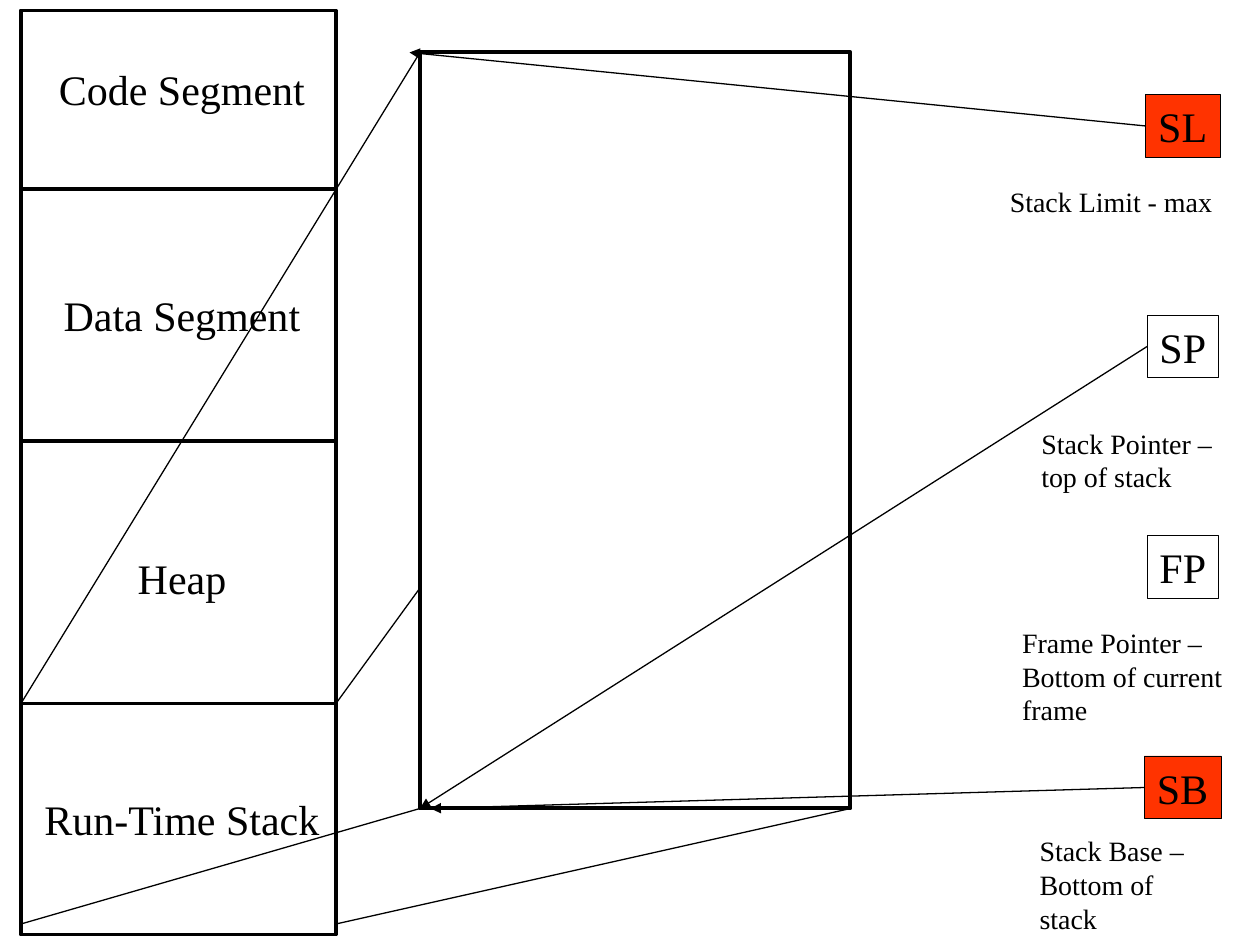
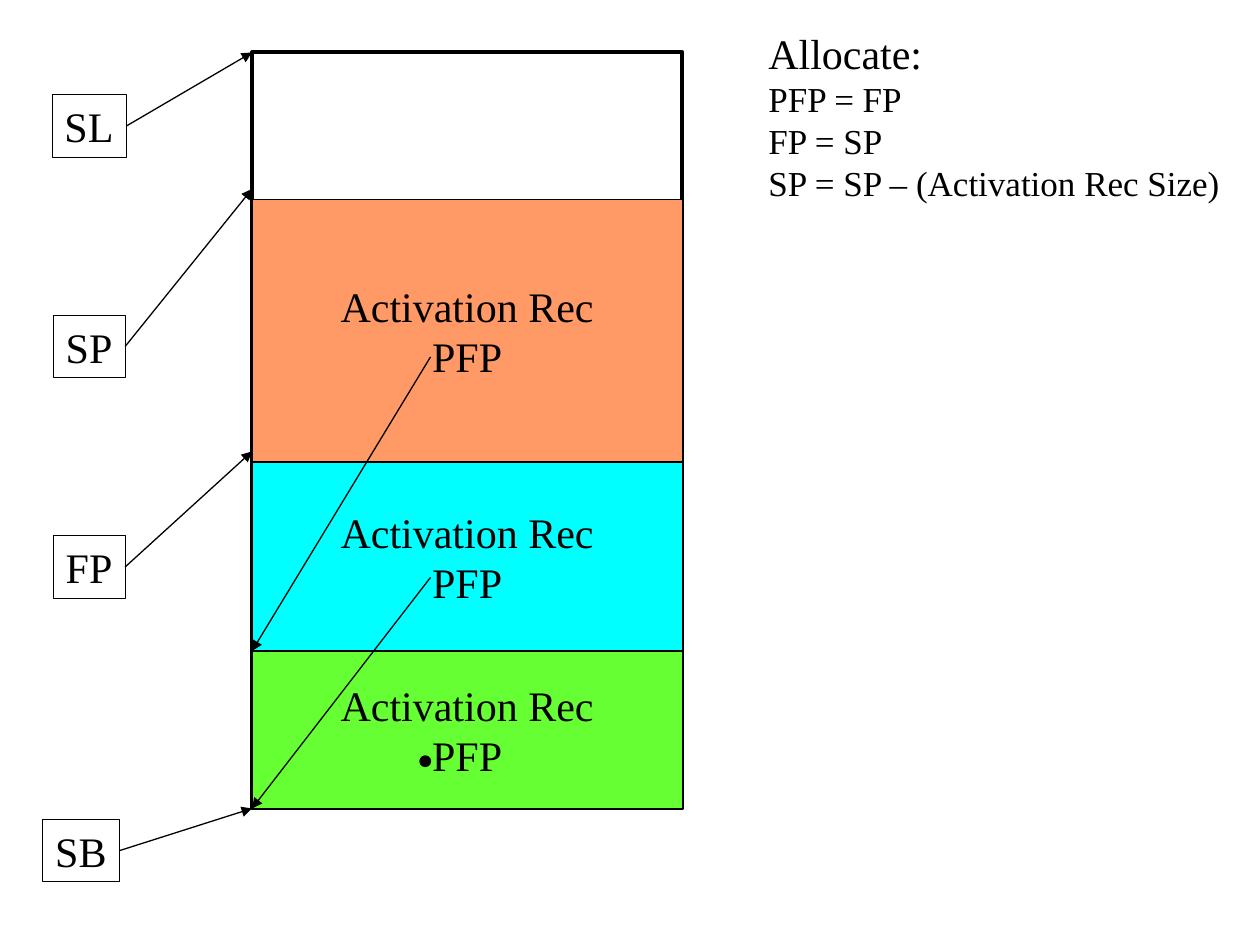
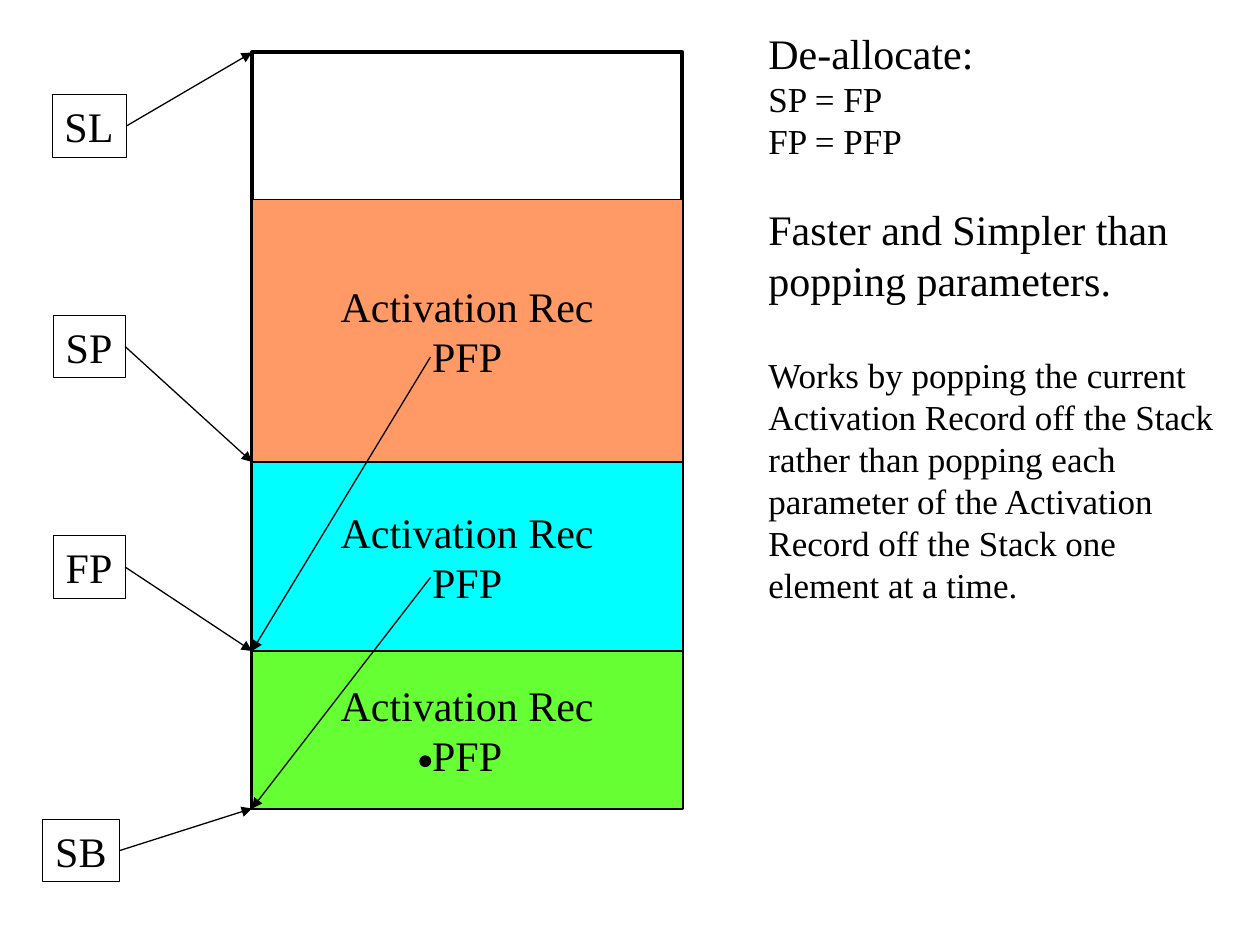
"""Build three slides on the run-time stack and its activation records."""
from pptx import Presentation
from pptx.dml.color import RGBColor
from pptx.enum.shapes import MSO_CONNECTOR, MSO_SHAPE
from pptx.enum.text import MSO_ANCHOR, MSO_AUTO_SIZE, PP_ALIGN
from pptx.oxml.ns import qn
from pptx.util import Pt
from lxml.etree import SubElement

COLORS = {"ink": "000000", "fixed": "FF3300", "newest": "FF9966",
          "middle": "00FFFF", "oldest": "66FF33"}
FONT = "Times New Roman"
THICK, THIN, HAIR = 2.25, 0.75, 0.5
LEFT_SIDE, RIGHT_SIDE = 1, 3

MEMORY = (12, 6, 180, 528)
DIVIDERS = [108, 252, 402]
SEGMENT_CENTER = 104
SEGMENTS = [("Code Segment", 33, 155), ("Data Segment", 162, 150),
            ("Heap", 312, 65), ("Run-Time Stack", 450, 172)]
ZOOM_LINES = [((192, 402), (240, 336)), ((12, 402), (240, 30)),
              ((12, 528), (240, 462)), ((192, 528), (486, 462))]
NOTES = [(["Stack Limit - max"], (570, 102, 130, 27)),
         (["Stack Pointer –", "top of stack"], (588, 240, 116, 46)),
         (["Frame Pointer –", "Bottom of current", "frame"], (577, 354, 132, 65)),
         (["Stack Base –", "Bottom of stack"], (587, 473, 116, 46))]

STACK_TOP, STACK_WIDTH, STACK_HEIGHT = 30, 246, 432
REGISTER_TOP, REGISTER_STEP, REGISTER_HEIGHT = 54, 126, 36
REGISTER_WIDTHS = {"SL": 42.5, "SP": 41, "FP": 41, "SB": 44}
OVERVIEW_TARGETS = {"SL": (234, 30), "SP": (240, 462), "SB": (246, 462)}

RECORDS = [("newest", 150), ("middle", 108), ("oldest", 90)]
RECORD_TEXT = [("Activation Rec", 24, 0), ("PFP", 24, 0)]
RECORD_LEFT, RECORDS_TOP = 144, 114
PFP_LINKS = [((246, 204), (144, 372)), ((246, 330), (144, 462))]
PFP_END = (240, 432, 6, 6)

OPERATIONS = [
    {"targets": {"SL": 30, "SP": 108, "FP": 258, "SB": 462},
     "box": (432, 12, 278.6, 108), "wrap": False,
     "text": [("Allocate:", 24, 0), ("PFP = FP", 20, 0), ("FP = SP", 20, 0),
              ("SP = SP – (Activation Rec Size)", 20, 0)]},
    {"targets": {"SL": 30, "SP": 264, "FP": 372, "SB": 462},
     "box": (432, 12, 276, 386.6), "wrap": True,
     "text": [("De-allocate:", 24, 0), ("SP = FP", 20, 0), ("FP = PFP", 20, 0),
              ("Faster and Simpler than popping parameters.", 24, 24),
              ("Works by popping the current Activation Record off the Stack "
               "rather than popping each parameter of the Activation Record off "
               "the Stack one element at a time.", 20, 28)]},
]


def apply(target, **values):
    for name, value in values.items():
        setattr(target, name, value)


def color(name):
    return RGBColor.from_string(COLORS[name])


def points(values):
    return [Pt(value) for value in values]


def write(shape, lines, align=PP_ALIGN.LEFT, **frame_format):
    frame = shape.text_frame
    apply(frame, **{"word_wrap": False, "vertical_anchor": MSO_ANCHOR.TOP, **frame_format})
    for index, (text, size, gap) in enumerate(lines):
        paragraph = frame.add_paragraph() if index else frame.paragraphs[0]
        paragraph.alignment = align
        if gap:
            paragraph.space_before = Pt(gap)
        run = paragraph.add_run()
        run.text = text
        apply(run.font, name=FONT, size=Pt(size))
        run.font.color.rgb = color("ink")


def add_box(shapes, box, width, fill=None, kind=MSO_SHAPE.RECTANGLE):
    shape = shapes.add_shape(kind, *points(box))
    shape.shadow.inherit = False
    if fill:
        shape.fill.solid()
        shape.fill.fore_color.rgb = color(fill)
    else:
        shape.fill.background()
    shape.line.color.rgb = color("ink")
    shape.line.width = Pt(width)
    return shape


def add_text(shapes, box, lines, **text_format):
    write(shapes.add_textbox(*points(box)), lines,
          auto_size=MSO_AUTO_SIZE.SHAPE_TO_FIT_TEXT, **text_format)


def add_line(shapes, start, end, width=THIN, arrow=False):
    connector = shapes.add_connector(MSO_CONNECTOR.STRAIGHT, *points(start + end))
    connector.line.color.rgb = color("ink")
    connector.line.width = Pt(width)
    properties = connector.element.spPr
    if arrow:
        SubElement(properties.find(qn("a:ln")), qn("a:tailEnd"), type="triangle")
    SubElement(properties, qn("a:effectLst"))
    return connector


def add_register(shapes, name, center, top, side, target=None, fill=None):
    width = REGISTER_WIDTHS[name]
    box = (center - width / 2, top, width, REGISTER_HEIGHT)
    register = add_box(shapes, box, HAIR, fill)
    write(register, [(name, 24, 0)], auto_size=MSO_AUTO_SIZE.SHAPE_TO_FIT_TEXT)
    if target:
        arrow = add_line(shapes, (center, top), target, arrow=True)
        arrow.begin_connect(register, side)


def add_overview(shapes):
    memory = shapes.add_group_shape().shapes
    add_box(memory, MEMORY, THICK)
    left, _, width, _ = MEMORY
    for y in DIVIDERS:
        add_line(memory, (left, y), (left + width, y), THICK)
    for text, top, width in SEGMENTS:
        add_text(shapes, (SEGMENT_CENTER - width / 2, top, width, 36),
                 [(text, 24, 0)], align=PP_ALIGN.CENTER)
    add_box(shapes, (240, STACK_TOP, STACK_WIDTH, STACK_HEIGHT), THICK)
    for start, end in ZOOM_LINES:
        add_line(shapes, start, end)
    for index, name in enumerate(REGISTER_WIDTHS):
        add_register(shapes, name, 676, REGISTER_TOP + index * REGISTER_STEP, LEFT_SIDE,
                     OVERVIEW_TARGETS.get(name), "fixed" if name in ("SL", "SB") else None)
    for lines, box in NOTES:
        add_text(shapes, box, [(line, 16, 0) for line in lines])


def add_operation(shapes, operation):
    add_box(shapes, (RECORD_LEFT, STACK_TOP, STACK_WIDTH, STACK_HEIGHT), THICK)
    for index, (name, y) in enumerate(operation["targets"].items()):
        is_base = name == "SB"
        top = 468 if is_base else REGISTER_TOP + index * REGISTER_STEP
        add_register(shapes, name, 46.5 if is_base else 51, top, RIGHT_SIDE, (RECORD_LEFT, y))
    top = RECORDS_TOP
    for fill, height in RECORDS:
        record = add_box(shapes, (RECORD_LEFT, top, STACK_WIDTH, height), THIN, fill)
        write(record, RECORD_TEXT, PP_ALIGN.CENTER, vertical_anchor=MSO_ANCHOR.MIDDLE)
        top += height
    for start, end in PFP_LINKS:
        add_line(shapes, start, end, arrow=True)
    add_box(shapes, PFP_END, THIN, "ink", MSO_SHAPE.OVAL)
    add_text(shapes, operation["box"], operation["text"], word_wrap=operation["wrap"])


def main():
    presentation = Presentation()
    apply(presentation, slide_width=Pt(720), slide_height=Pt(540))
    blank = presentation.slide_layouts[6]
    add_overview(presentation.slides.add_slide(blank).shapes)
    for operation in OPERATIONS:
        add_operation(presentation.slides.add_slide(blank).shapes, operation)
    presentation.save("out.pptx")


if __name__ == "__main__":
    main()
